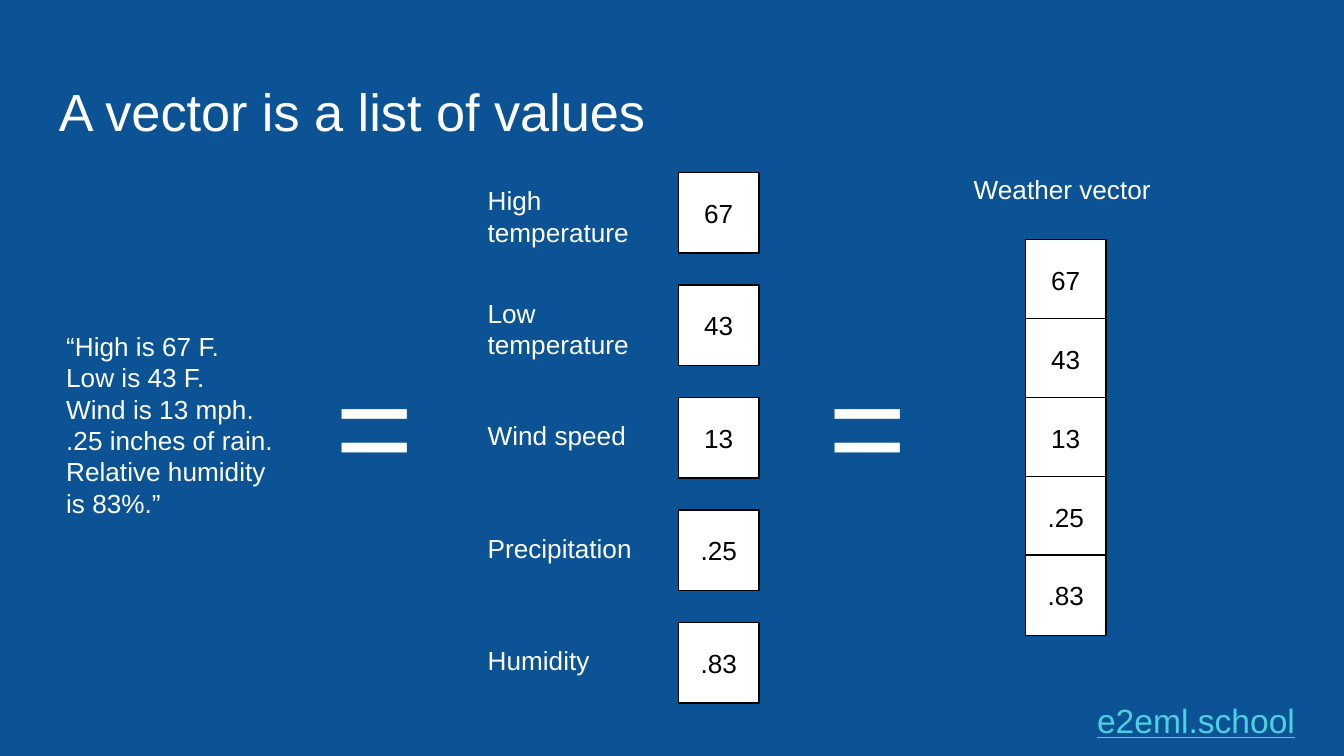
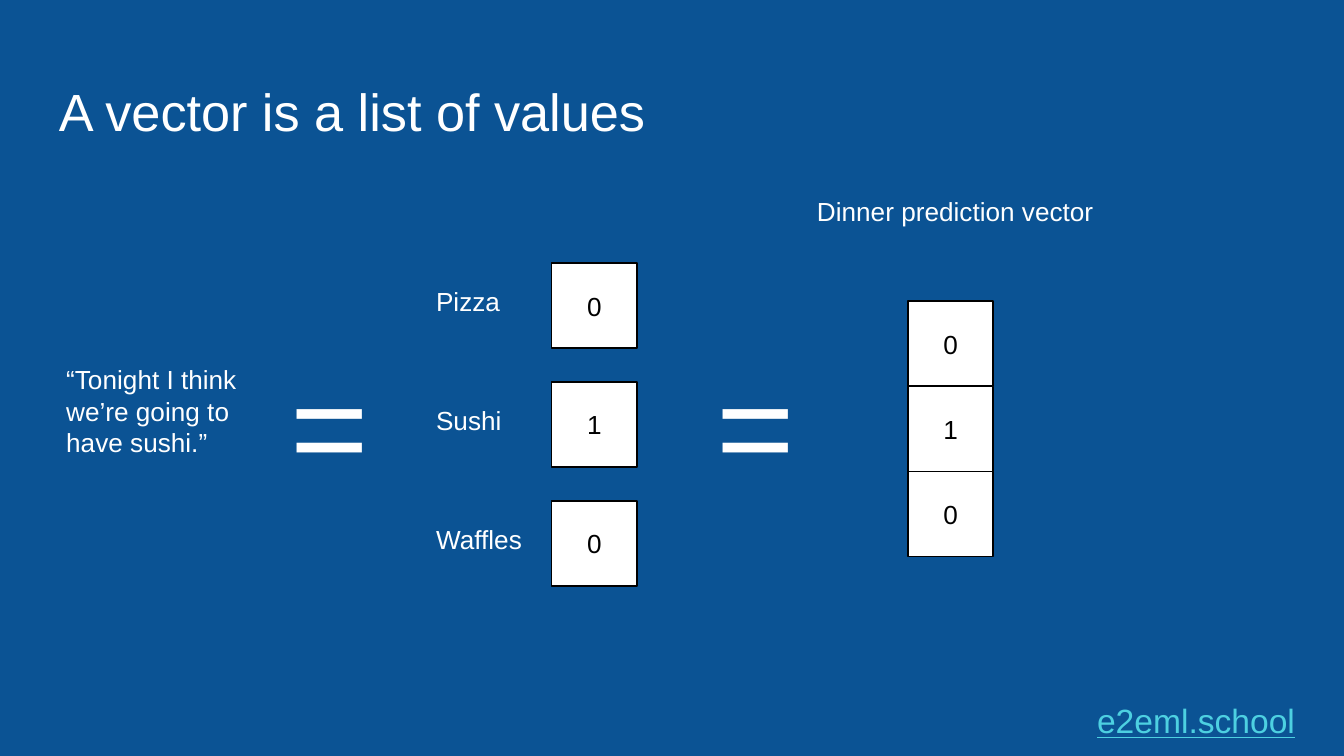
from pptx import Presentation
from pptx.dml.color import RGBColor
from pptx.enum.shapes import MSO_SHAPE
from pptx.enum.text import MSO_ANCHOR, PP_ALIGN
from pptx.util import Inches, Pt

RECT = MSO_SHAPE.RECTANGLE
MIDDLE, TOP = MSO_ANCHOR.MIDDLE, MSO_ANCHOR.TOP
CENTER, LEFT = PP_ALIGN.CENTER, PP_ALIGN.LEFT

WIDTH = Inches(10)
HEIGHT = WIDTH * 9 // 16
UNIT = WIDTH / 100  # side of one square of the 100-column grid
BLUE, WHITE, BLACK, CYAN = "0B5394", "FFFFFF", "000000", "4DD0E1"
FONT = "Arial"
TITLE, BODY, SITE, SIGN = 28, 14, 18, 72


def color(code):
    return RGBColor.from_string(code)


def grid(*cells):
    """Turn grid columns and rows into lengths."""
    return [round(cell * UNIT) for cell in cells]


def write(shape, text, size, ink, align=LEFT, anchor=TOP):
    frame = shape.text_frame
    frame.word_wrap = True
    frame.vertical_anchor = anchor
    frame.margin_left = frame.margin_right = round(UNIT)
    frame.margin_top = frame.margin_bottom = round(UNIT)
    frame.text = text
    for para in frame.paragraphs:
        para.alignment = align
        for run in para.runs:
            run.font.name = FONT
            run.font.size = Pt(size)
            run.font.color.rgb = color(ink)
    return frame


def add_text(slide, text, col, row, wide, high, size=BODY, ink=WHITE):
    box = slide.shapes.add_textbox(*grid(col, row, wide, high))
    return write(box, text, size, ink)


def add_cell(slide, text, col, row, side):
    cell = slide.shapes.add_shape(RECT, *grid(col, row, side, side))
    cell.shadow.inherit = False
    cell.fill.solid()
    cell.fill.fore_color.rgb = color(WHITE)
    cell.line.color.rgb = color(BLACK)
    cell.line.width = Pt(0.75)
    write(cell, text, BODY, BLACK, CENTER, MIDDLE)


def add_stack(slide, values, col, top, side, step):
    for i, value in enumerate(values):
        add_cell(slide, value, col, top + i * step, side)


def add_labels(slide, names, col, top, wide, high, step):
    for i, name in enumerate(names):
        # Two-line labels start a little higher beside their cell
        shift = -0.1 if " temp" in name else 0.64
        add_text(slide, name, col, top + i * step + shift, wide, high)


def add_signs(slide, *cols):
    for col in cols:
        add_text(slide, "=", col, 24.4, 11.6, 15.9, SIGN)


def add_page(deck):
    """Start a slide with the shared background, title and site name."""
    slide = deck.slides.add_slide(deck.slide_layouts[6])
    fill = slide.background.fill
    fill.solid()
    fill.fore_color.rgb = color(BLUE)
    add_text(slide, "A vector is a list of values", 3.41, 4.87, 93.18, 6.26,
             TITLE)
    site = add_text(slide, "e2eml.school", 80.64, 50.64, 17.9, 4.8, SITE, CYAN)
    para = site.paragraphs[0]
    para.line_spacing = 1.15
    para.space_after = Pt(16)
    para.runs[0].font.underline = True
    return slide


def add_weather(deck):
    slide = add_page(deck)
    names = ["High temperature", "Low temperature", "Wind speed",
             "Precipitation", "Humidity"]
    values = ["67", "43", "13", ".25", ".83"]
    quote = ["“High is 67 F.", "Low is 43 F.", "Wind is 13 mph.",
             ".25 inches of rain.", "Relative humidity is 83%.”"]
    side, top, step = 6, 12.83, 8.37
    # Report in words
    add_text(slide, "\n".join(quote), 3.94, 23.57, 17.9, 4.2)
    # Named values
    add_labels(slide, names, 35.3, top, 15.2, 4.2, step)
    add_stack(slide, values, 50.48, top, side, step)
    # Vector
    add_text(slide, "Weather vector", 71.46, 11.9, 20.9, 5.2)
    add_stack(slide, values, 76.3, 17.83, side, 5.87)
    add_signs(slide, 24, 60.64)


def add_dinner(deck):
    slide = add_page(deck)
    names = ["Pizza", "Sushi", "Waffles"]
    values = ["0", "1", "0"]
    quote = "“Tonight I think we’re going to have sushi.”"
    side, top, step = 6.34, 19.57, 8.85
    # Prediction in words
    add_text(slide, quote, 3.94, 26.06, 15.2, 4.2)
    # Named values
    add_labels(slide, names, 31.46, top, 18.8, side, step)
    add_stack(slide, values, 41.05, top, side, step)
    # Vector
    add_text(slide, "Dinner prediction vector", 59.8, 13.56, 31.9, 5.2)
    add_stack(slide, values, 67.56, 22.4, side, side)
    add_signs(slide, 20.6, 52.3)


def main():
    deck = Presentation()
    deck.slide_width, deck.slide_height = WIDTH, HEIGHT
    add_weather(deck)
    add_dinner(deck)
    deck.save("out.pptx")


if __name__ == "__main__":
    main()
